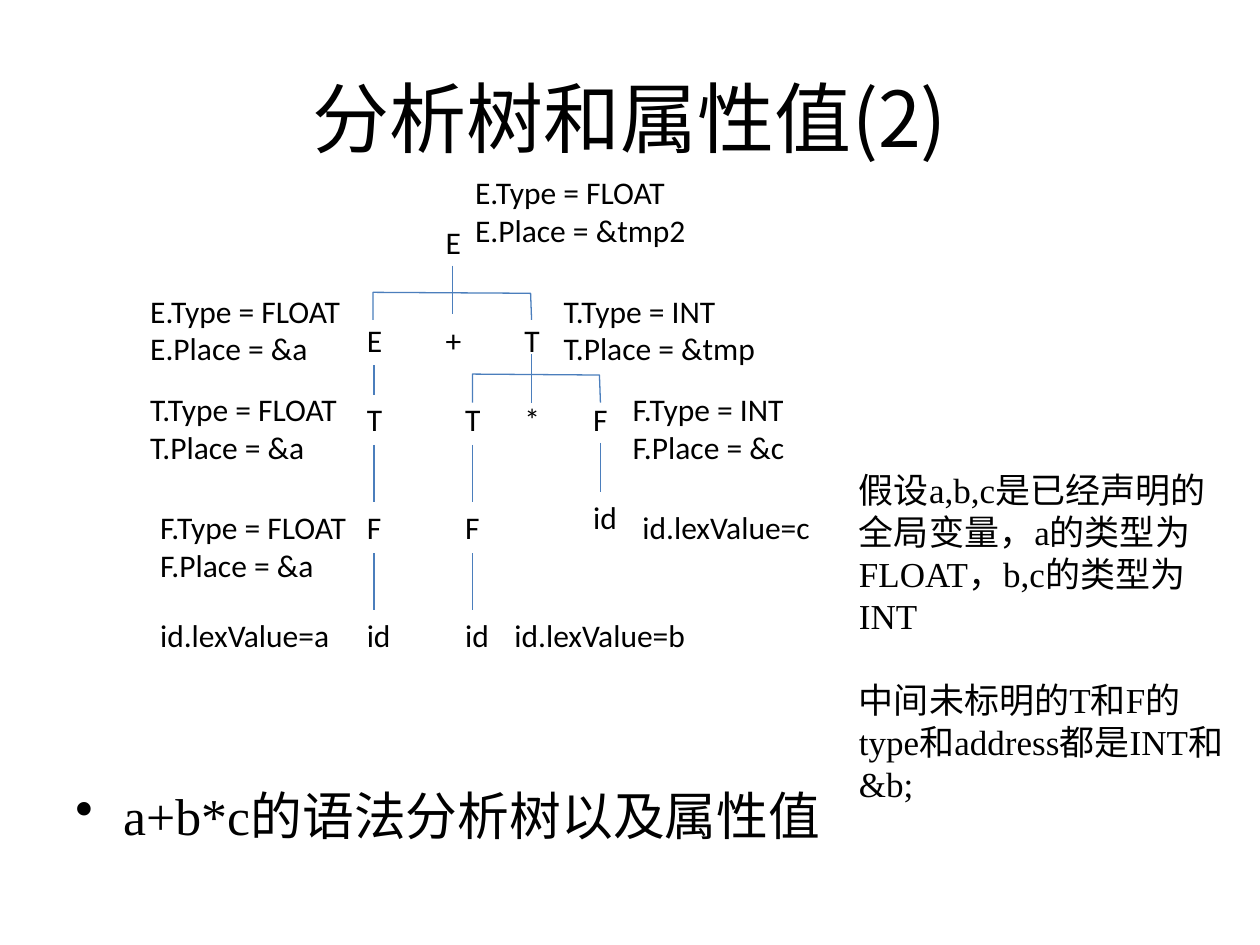
from lxml import etree
from pptx import Presentation, util as u
from pptx.dml.color import RGBColor
from pptx.enum import shapes, text
from pptx.oxml import ns

COLORS = {"ink": "000000", "line": "4B7EBC"}
CJK = "Noto Sans CJK JP"

deck = Presentation()
deck.slide_width, deck.slide_height = u.Inches(10), u.Inches(7.5)
slide = deck.slides.add_slide(deck.slide_layouts[6])
cell = deck.slide_width / 128  # the slide is a grid of 128 columns by 96 rows


def grid(*cells):
    """Turn grid positions into lengths."""
    return [u.Emu(round(n * cell)) for n in cells]


def write(box, lines, size=18, face="Calibri"):
    """Add a text box at box (column, row, width, height) and return its frame."""
    frame = slide.shapes.add_textbox(*grid(*box)).text_frame
    frame.word_wrap = True
    frame.text = "\n".join(lines)
    for par in frame.paragraphs:
        par.font.size = u.Pt(size)
        par.font.color.rgb = RGBColor.from_string(COLORS["ink"])
        par.font.name = face
        east = etree.SubElement(par._p.pPr.find(ns.qn("a:defRPr")), ns.qn("a:ea"))
        east.set("typeface", CJK)
    return frame


# Title and bullet
title = write((6.4, 3.84, 115.2, 16), ["分析树和属性值(2)"], 44, CJK)
title.vertical_anchor = text.MSO_ANCHOR.MIDDLE
title.paragraphs[0].alignment = text.PP_ALIGN.CENTER

body = write((6.4, 79, 115.2, 6.8), ["a+b*c的语法分析树以及属性值"], 29.6, "Times New Roman")
props = body.paragraphs[0]._p.pPr
props.set("marL", str(u.Inches(0.38)))
props.set("indent", str(-u.Inches(0.38)))
dot = etree.Element(ns.qn("a:buChar"), char="•")
props.find(ns.qn("a:defRPr")).addprevious(dot)

# Tree nodes: symbol, column, row
nodes = [
    ("E", 44, 22),
    ("E", 36, 32), ("+", 44, 32), ("T", 52, 32),
    ("T", 36, 40), ("T", 46, 40), ("*", 52, 40), ("F", 59, 40),
    ("F", 36, 51), ("F", 46, 51), ("id", 59, 50),
    ("id", 36, 62), ("id", 46, 62),
]
for sign, col, row in nodes:
    write((col, row, 6, 5.1), [sign])

# Forks: left, right, top, foot
drawn = []
for left, right, top, foot in [(37.9, 53.9, 29.7, 32.5), (48, 60.9, 38, 40.9)]:
    pen = slide.shapes.build_freeform(*grid(left, foot))
    bends = [(left, top), (right, top + 0.1), (right + 0.1, foot)]
    pen.add_line_segments([grid(*bend) for bend in bends], close=False)
    fork = pen.convert_to_shape()
    fork.shadow.inherit = False
    fork.fill.background()
    drawn.append(fork)

# Stems: column, top, foot
stems = [
    (46, 27, 31.9), (54, 36, 40.9), (38, 37.1, 40.1),
    (38, 45.2, 51), (38, 56.2, 62), (48, 45.2, 51), (48, 56.2, 62), (61, 45, 50),
]
for col, top, foot in stems:
    stem = slide.shapes.add_connector(
        shapes.MSO_CONNECTOR.STRAIGHT, *grid(col, top, col, foot))
    etree.SubElement(stem._element.spPr, ns.qn("a:effectLst"))
    drawn.append(stem)

for mark in drawn:
    mark.line.color.rgb = RGBColor.from_string(COLORS["line"])
    mark.line.width = u.Pt(0.75)

# Attributes: symbol, type, place, column, row
traits = [
    ("E", "FLOAT", "tmp2", 47, 17),
    ("E", "FLOAT", "a", 14, 29), ("T", "INT", "tmp", 56, 29),
    ("T", "FLOAT", "a", 14, 39), ("F", "INT", "c", 63, 39),
    ("F", "FLOAT", "a", 15, 51),
]
for sign, kind, place, col, row in traits:
    write((col, row, 31 if place == "tmp2" else 23, 9.1),
          [f"{sign}.Type = {kind}", f"{sign}.Place = &{place}"])

for name, col, row in [("a", 15, 62), ("b", 51, 62), ("c", 64, 51)]:
    write((col, row, 21, 5.1), [f"id.lexValue={name}"])

# Side note
note = write((86, 47, 40, 35.7), [
    "假设a,b,c是已经声明的全局变量，a的类型为FLOAT，b,c的类型为INT",
    "中间未标明的T和F的type和address都是INT和&b;",
], 20, "Times New Roman")
note.paragraphs[1].space_before = u.Pt(24)

deck.save("out.pptx")
